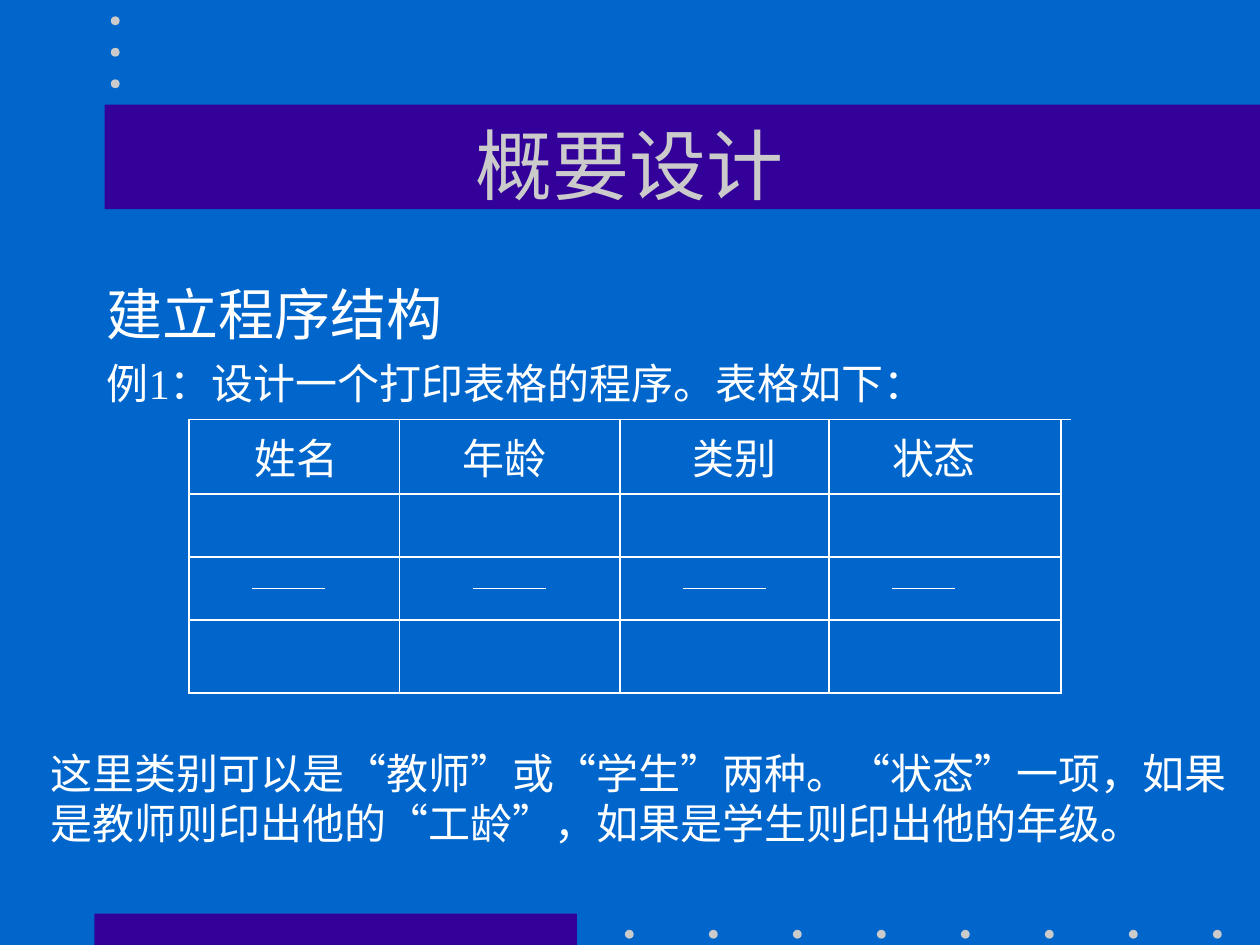
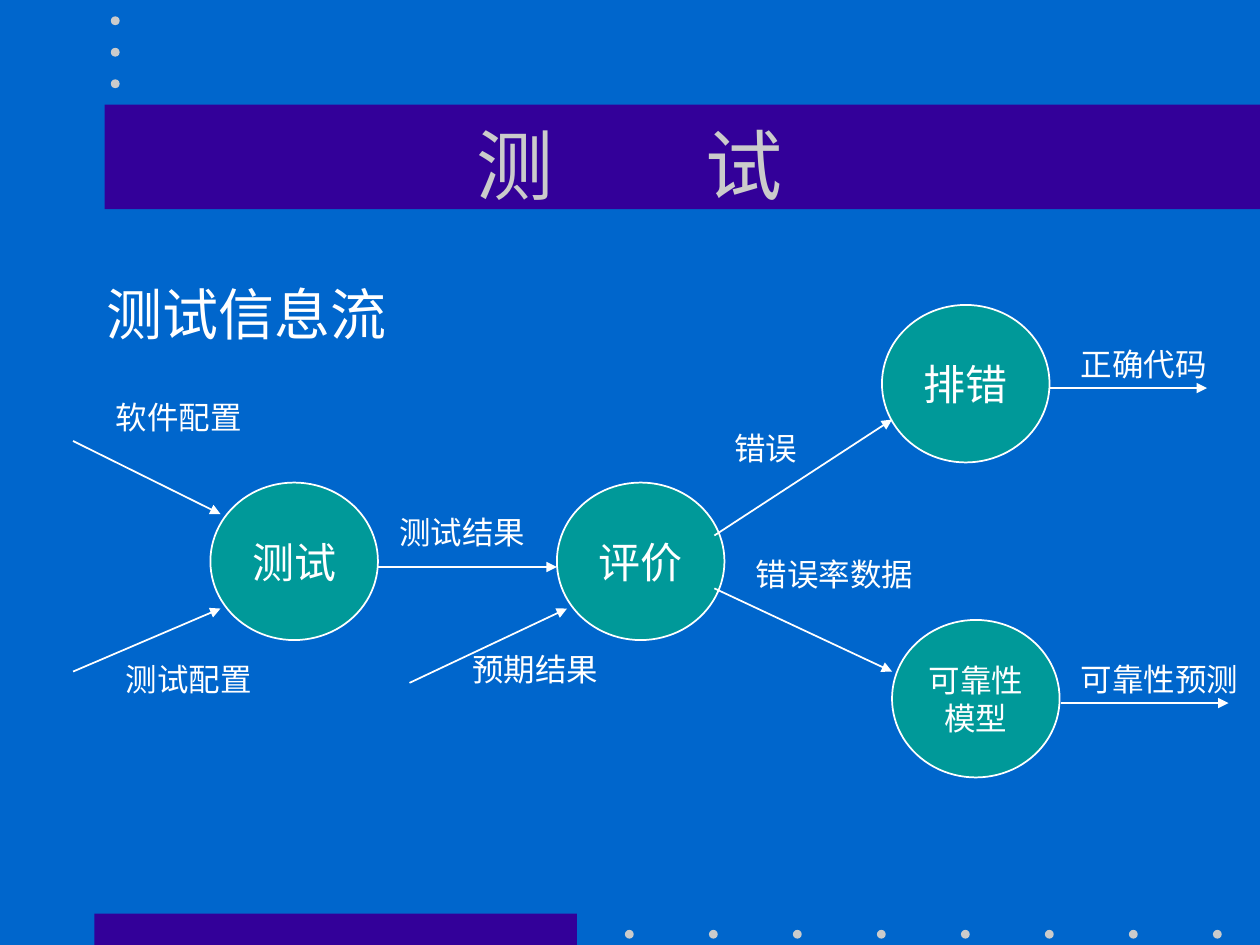
"""Build two lecture slides on program design and testing."""
from dataclasses import dataclass

from lxml.etree import SubElement as Sub
from pptx import Presentation
from pptx.dml.color import RGBColor as Rgb
from pptx.enum.shapes import MSO_CONNECTOR as Link, MSO_SHAPE as Form
from pptx.enum.text import MSO_ANCHOR as Anchor, MSO_AUTO_SIZE as Fit, PP_ALIGN as Align
from pptx.oxml import parse_xml
from pptx.oxml.ns import nsdecls, qn
from pptx.util import Inches, Pt


@dataclass(frozen=True)
class Theme:
    page: str = "0066CC"
    band: str = "330099"
    soft: str = "CBCBCB"
    node: str = "009999"
    ink: str = "FFFFFF"
    font: str = "Times New Roman"
    title: int = 44
    head: int = 32
    text: int = 24
    note: int = 18
    rule: int = 1


class Deck:
    def __init__(self, theme):
        self.theme = theme
        self.prs = Presentation()
        self.prs.slide_width, self.prs.slide_height = Inches(10), Inches(7.5)
        self.paint(self.prs.slide_master.background.fill, theme.page)
        self.slide = None

    def paint(self, fill, color):
        fill.solid()
        fill.fore_color.rgb = Rgb.from_string(color)

    def page(self, *title, gap=0):
        self.slide = self.prs.slides.add_slide(self.prs.slide_layouts[6])
        self.shape(Form.RECTANGLE, 0.75, 7.25, 3.83, 0.25, self.theme.band)
        for col in range(8):
            self.dot(4.96 + col * 2 / 3, 7.38)
        self.shape(Form.RECTANGLE, 0.83, 0.83, 9.17, 0.83, self.theme.band)
        for row in range(3):
            self.dot(0.88, 0.13 + row * 0.25)
        frame = self.box(0.75, 0.67, 8.5, 1.25)
        frame.vertical_anchor = Anchor.MIDDLE
        para = frame.paragraphs[0]
        para.alignment = Align.CENTER
        for i, part in enumerate(title):
            if i:
                space = self.add_run(para, " ", self.theme.title, self.theme.soft)
                space.font._element.set("spc", str(gap * 100))
            self.add_run(para, part, self.theme.title, self.theme.soft)

    def shape(self, form, x, y, w, h, color):
        item = self.slide.shapes.add_shape(form, Inches(x), Inches(y), Inches(w), Inches(h))
        item.shadow.inherit = False
        self.paint(item.fill, color)
        item.line.fill.background()
        return item

    def dot(self, x, y):
        self.shape(Form.OVAL, x, y, 0.07, 0.07, self.theme.soft)

    def box(self, x, y, w, h):
        frame = self.slide.shapes.add_textbox(
            Inches(x), Inches(y), Inches(w), Inches(h)).text_frame
        frame.word_wrap = True
        return frame

    def add_run(self, para, text, size, color=None):
        run = para.add_run()
        run.text = text
        font = run.font
        font.name, font.size, font.bold = self.theme.font, Pt(size), False
        font.color.rgb = Rgb.from_string(color or self.theme.ink)
        return run

    def add_text(self, frame, lines, size, align=Align.LEFT):
        for i, text in enumerate(lines):
            para = frame.add_paragraph() if i else frame.paragraphs[0]
            para.alignment = align
            self.add_run(para, text, size)

    def body(self, head, *lines):
        frame = self.box(0.75, 2.17, 8.5, 4.5)
        self.add_text(frame, [head], self.theme.head)
        frame.paragraphs[0].space_before = Pt(8)
        for text in lines:
            para = frame.add_paragraph()
            para.space_before = Pt(6)
            self.add_run(para, text, self.theme.text)

    def label(self, x, y, w, h, size, *lines):
        frame = self.box(x, y, w, h)
        frame.word_wrap = False
        frame.auto_size = Fit.SHAPE_TO_FIT_TEXT
        self.add_text(frame, lines, size)

    def node(self, x, y, size, *lines):
        item = self.shape(Form.OVAL, x, y, 1.33, 1.25, self.theme.node)
        self.stroke(item.line)
        frame = item.text_frame
        frame.word_wrap = False
        frame.vertical_anchor = Anchor.MIDDLE
        self.add_text(frame, lines, size, Align.CENTER)

    def stroke(self, line):
        self.paint(line.fill, self.theme.ink)
        line.width = Pt(self.theme.rule)

    def line(self, x1, y1, x2, y2, arrow=False):
        item = self.slide.shapes.add_connector(
            Link.STRAIGHT, Inches(x1), Inches(y1), Inches(x2), Inches(y2))
        self.stroke(item.line)
        props = item._element.spPr
        if arrow:
            Sub(props.find(qn("a:ln")), qn("a:tailEnd"), type="triangle")
        Sub(props, qn("a:effectLst"))

    def grid(self, cols, rows, heads, pads):
        wide, high = cols[-1] - cols[0], rows[-1] - rows[0]
        table = self.slide.shapes.add_table(
            len(rows) - 1, len(cols) - 1, Inches(cols[0]), Inches(rows[0]),
            Inches(wide), Inches(high)).table
        table.first_row = table.horz_banding = False
        for col, a, b in zip(table.columns, cols, cols[1:]):
            col.width = Inches(b - a)
        for row, a, b in zip(table.rows, rows, rows[1:]):
            row.height = Inches(b - a)
        for cell in table.iter_cells():
            self.paint(cell.fill, self.theme.page)
            self.edge(cell)
        for i, (text, pad) in enumerate(zip(heads, pads)):
            cell = table.cell(0, i)
            cell.margin_left = Inches(pad)
            cell.vertical_anchor = Anchor.MIDDLE
            self.add_text(cell.text_frame, [text], self.theme.text)

    def edge(self, cell):
        props = cell._tc.get_or_add_tcPr()
        for i, side in enumerate("LRTB"):
            props.insert(i, parse_xml(
                f'<a:ln{side} {nsdecls("a")} w="{Pt(self.theme.rule)}"><a:solidFill>'
                f'<a:srgbClr val="{self.theme.ink}"/></a:solidFill></a:ln{side}>'))


def design(deck):
    deck.page("概要设计")
    deck.body("建立程序结构", "例1：设计一个打印表格的程序。表格如下：")
    deck.grid([1.5, 3.17, 4.92, 6.58, 8.42], [3.33, 3.92, 4.42, 4.92, 5.5],
              ["姓名", "年龄", "类别", "状态"], [0.52, 0.5, 0.58, 0.5])
    deck.line(8.42, 3.33, 8.5, 3.33)
    for x1, x2 in [(2, 2.58), (3.75, 4.33), (5.42, 6.08), (7.08, 7.58)]:
        deck.line(x1, 4.67, x2, 4.67)
    deck.label(0.3, 5.88, 9.53, 0.9, deck.theme.text,
               "这里类别可以是“教师”或“学生”两种。“状态”一项，如果",
               "是教师则印出他的“工龄”，如果是学生则印出他的年级。")


def test(deck):
    theme = deck.theme
    deck.page("测", "试", gap=77)
    deck.body("测试信息流")
    for x, y, size, *lines in [
        (1.67, 3.83, theme.text, "测试"),
        (4.42, 3.83, theme.text, "评价"),
        (7, 2.42, theme.text, "排错"),
        (7.08, 4.92, theme.note, "可靠性", "模型"),
    ]:
        deck.node(x, y, size, *lines)
    for ends in [
        (0.58, 3.5, 1.75, 4.08),
        (0.58, 5.33, 1.75, 4.83),
        (3, 4.5, 4.42, 4.5),
        (5.67, 4.25, 7.08, 3.33),
        (5.67, 4.67, 7.08, 5.33),
        (8.33, 3.08, 9.58, 3.08),
        (8.42, 5.58, 9.75, 5.58),
        (3.25, 5.42, 4.5, 4.83),
    ]:
        deck.line(*ends, arrow=True)
    for x, y, text in [
        (0.82, 3.11, "软件配置"),
        (0.9, 5.19, "测试配置"),
        (3.07, 4.02, "测试结果"),
        (5.73, 3.36, "错误"),
        (5.9, 4.36, "错误率数据"),
        (8.48, 5.19, "可靠性预测"),
        (8.48, 2.69, "正确代码"),
        (3.65, 5.11, "预期结果"),
    ]:
        deck.label(x, y, 0.2 + 0.25 * len(text), 0.4, theme.note, text)


def main():
    deck = Deck(Theme())
    design(deck)
    test(deck)
    deck.prs.save("out.pptx")


if __name__ == "__main__":
    main()
